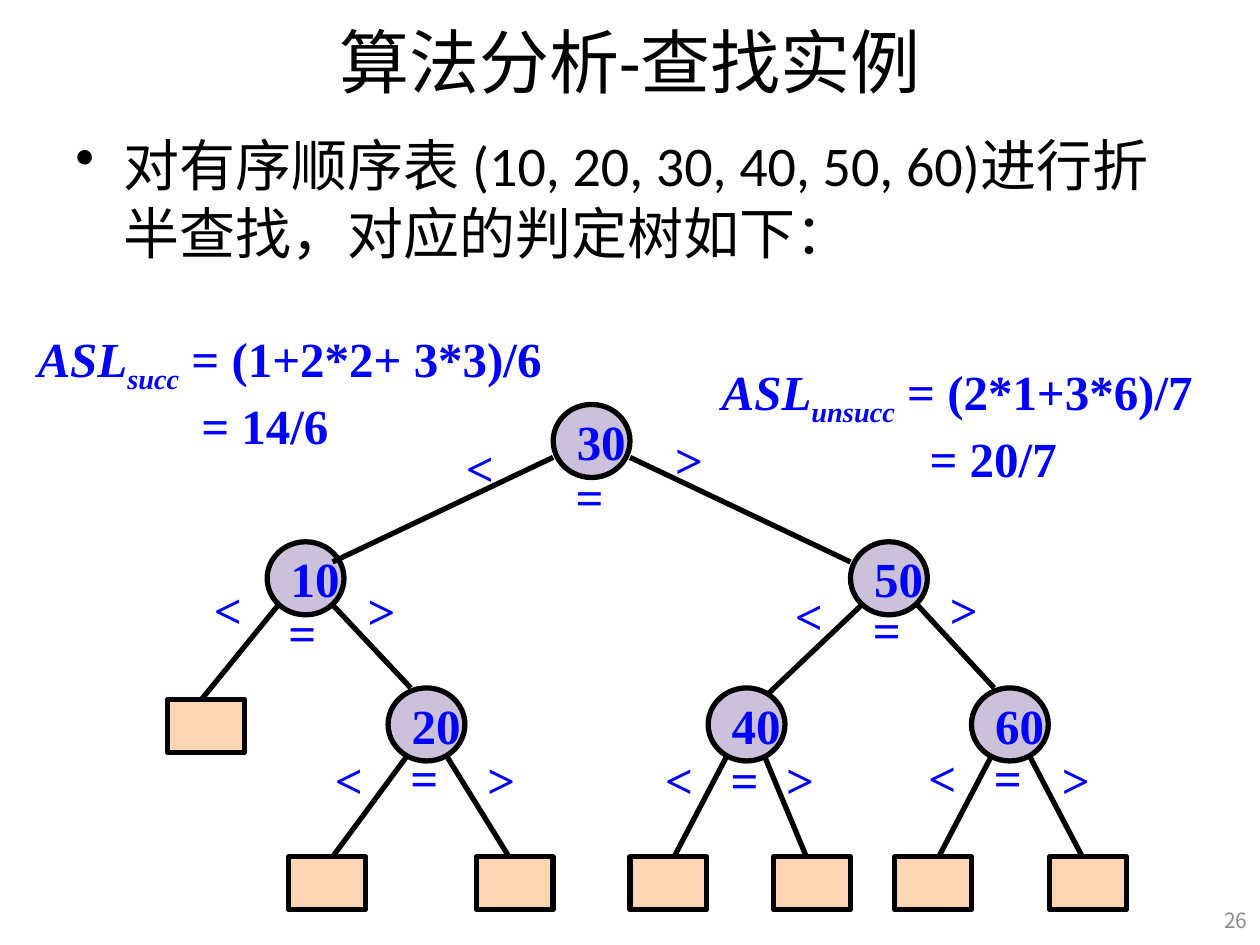
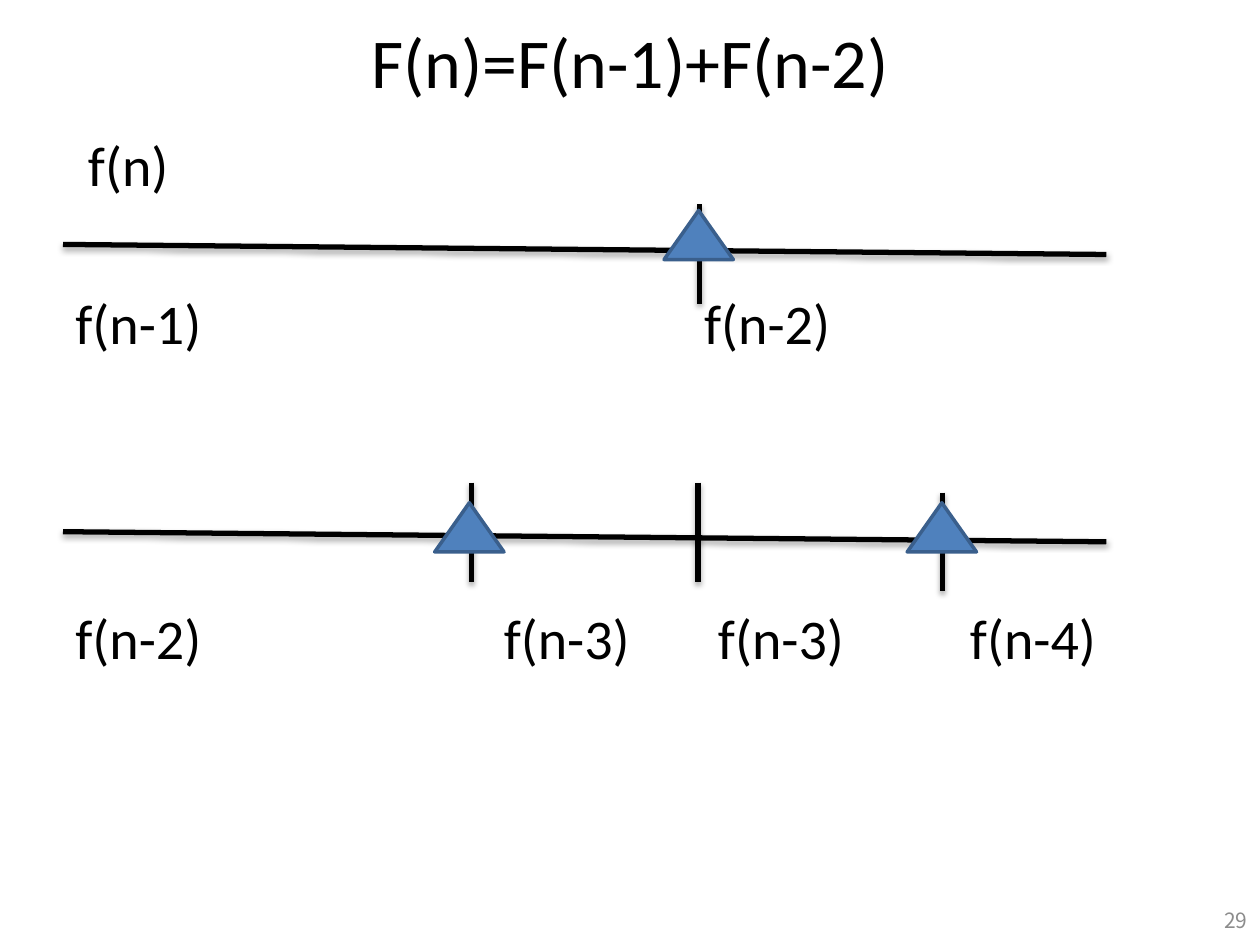
"""Build two algorithm slides: a binary search decision tree and a Fibonacci split."""
from lxml.etree import SubElement
from pptx import Presentation
from pptx.dml.color import RGBColor
from pptx.enum.shapes import MSO_CONNECTOR, MSO_SHAPE
from pptx.enum.text import MSO_ANCHOR, PP_ALIGN
from pptx.oxml.ns import qn
from pptx.util import Pt

EMU_PER_PX = 9144
BLACK, BLUE, GREY = "000000", "0000FF", "8C8C8C"
NODE_FILL, LEAF_FILL = "CCC1DA", "FCD5B5"
MARKER_FILL, MARKER_LINE = "4F81BD", "3A5F8C"
BODY_FONT, MATH_FONT, NUMBER_FONT = "Calibri", "Times New Roman", "Noto Sans CJK SC"

SEARCH_TITLE = "算法分析-查找实例"
SEARCH_TEXT = "对有序顺序表 (10, 20, 30, 40, 50, 60)进行折半查找，对应的判定树如下："
NODE_SIZE, LEAF_SIZE, SIGN_SIZE = (61, 58), (61, 42), (44, 57)
UPPER_NODES = {"30": (439, 321), "10": (212, 430), "50": (675, 430)}
LOWER_NODES = {"20": (308, 546), "40": (562, 546), "60": (771, 546)}
LEAVES = [(133, 555)] + [(left, 680) for left in (229, 378, 500, 614, 710, 833)]
BRANCHES = [
    (439, 363, 264, 446), (500, 363, 675, 446),
    (221, 480, 160, 555), (264, 480, 326, 546),
    (684, 480, 605, 555), (728, 480, 789, 546),
    (326, 596, 264, 680), (352, 596, 404, 680),
    (579, 596, 535, 680), (605, 596, 640, 680),
    (789, 596, 745, 680), (815, 596, 859, 680),
]
SIGNS = {
    "<": [(360, 342), (160, 455), (621, 460), (256, 590), (518, 590), (727, 588)],
    "=": [(447, 365), (219, 473), (683, 471), (316, 588), (570, 590), (779, 588)],
    ">": [(526, 336), (282, 456), (744, 455), (377, 590), (614, 590), (833, 590)],
}
AVERAGES = [
    ((20, 256, 446, 103), "succ", " = (1+2*2+ 3*3)/6", "= 14/6", 130),
    ((563, 282, 406, 103), "unsucc", " = (2*1+3*6)/7", "= 20/7", 165),
]

SPLIT_TITLE = "F(n)=F(n-1)+F(n-2)"
SPLIT_LABELS = [
    (99, [("f(n)", 60)]),
    (224, [("f(n-1)", 50), ("f(n-2)", 549)]),
    (474, [("f(n-2)", 50), ("f(n-3)", 390), ("f(n-3)", 560), ("f(n-4)", 760)]),
]
SPLIT_LINES = [
    (50, 194, 878, 202), (555, 162, 555, 241), (50, 422, 878, 430),
    (554, 383, 554, 462), (374, 383, 374, 462), (748, 391, 748, 469),
]
MARKERS = [(527, 167), (345, 399), (720, 399)]
MARKER_SIZE = (55, 39)


def px(*lengths):
    return [length * EMU_PER_PX for length in lengths]


def color(value):
    return RGBColor.from_string(value)


def set_font(font, size, name, fill, bold=False):
    font.size, font.name, font.bold = Pt(size), name, bold
    font.color.rgb = color(fill)


def add_text(slide, box, text, size=32, name=BODY_FONT, fill=BLACK, bold=False,
             align=PP_ALIGN.LEFT, anchor=MSO_ANCHOR.TOP):
    frame = slide.shapes.add_textbox(*px(*box)).text_frame
    frame.word_wrap, frame.vertical_anchor = True, anchor
    paragraph = frame.paragraphs[0]
    paragraph.text, paragraph.alignment = text, align
    set_font(paragraph.font, size, name, fill, bold)
    return frame


def add_figure(slide, kind, position, size, fill, line=BLACK, width=3):
    shape = slide.shapes.add_shape(kind, *px(*position, *size))
    shape.shadow.inherit = False
    shape.fill.solid()
    shape.fill.fore_color.rgb = color(fill)
    shape.line.color.rgb, shape.line.width = color(line), Pt(width)
    return shape


def add_line(slide, ends, shadow=False):
    line = slide.shapes.add_connector(MSO_CONNECTOR.STRAIGHT, *px(*ends))
    line.line.color.rgb, line.line.width = color(BLACK), Pt(3)
    effects = SubElement(line._element.spPr, qn("a:effectLst"))
    if shadow:
        outer = SubElement(effects, qn("a:outerShdw"), blurRad=str(Pt(3.1)),
                           dist=str(Pt(1.8)), dir="5400000", rotWithShape="0")
        black = SubElement(outer, qn("a:srgbClr"), val=BLACK)
        SubElement(black, qn("a:alpha"), val="35000")


def add_nodes(slide, nodes):
    for key, position in nodes.items():
        frame = add_figure(slide, MSO_SHAPE.OVAL, position, NODE_SIZE, NODE_FILL).text_frame
        frame.word_wrap, frame.vertical_anchor = False, MSO_ANCHOR.MIDDLE
        paragraph = frame.paragraphs[0]
        paragraph.text, paragraph.alignment = key, PP_ALIGN.LEFT
        set_font(paragraph.font, 28, MATH_FONT, BLUE, True)


def add_average(slide, box, subscript, formula, result, indent):
    frame = add_text(slide, box, "", 28, MATH_FONT, BLUE, True)
    first, second = frame.paragraphs[0], frame.add_paragraph()
    for text, italic in (("ASL", True), (subscript, True), (formula, False)):
        run = first.add_run()
        run.text, run.font.italic = text, italic
        if text == subscript:
            run._r.get_or_add_rPr().set("baseline", "-25000")
    second.text = result
    second._p.get_or_add_pPr().set("marL", str(indent * EMU_PER_PX))
    set_font(second.font, 28, MATH_FONT, BLUE, True)


def add_slide(presentation, title, number):
    slide = presentation.slides.add_slide(presentation.slide_layouts[6])
    add_text(slide, (50, -3, 900, 102), title, 40,
             align=PP_ALIGN.CENTER, anchor=MSO_ANCHOR.MIDDLE)
    add_text(slide, (957, 710, 43, 40), number, 12, NUMBER_FONT, GREY,
             align=PP_ALIGN.RIGHT, anchor=MSO_ANCHOR.MIDDLE)
    return slide


def build_search(presentation):
    slide = add_slide(presentation, SEARCH_TITLE, "26")
    paragraph = add_text(slide, (50, 99, 900, 638), SEARCH_TEXT).paragraphs[0]
    properties = paragraph._p.get_or_add_pPr()
    properties.set("marL", str(38 * EMU_PER_PX))
    properties.set("indent", str(-38 * EMU_PER_PX))
    bullet = properties.makeelement(qn("a:buChar"), {"char": "•"})
    properties.insert(0, bullet)
    for position in LEAVES:
        add_figure(slide, MSO_SHAPE.RECTANGLE, position, LEAF_SIZE, LEAF_FILL)
    add_nodes(slide, UPPER_NODES)
    for ends in BRANCHES:
        add_line(slide, ends)
    add_nodes(slide, LOWER_NODES)
    for sign, positions in SIGNS.items():
        for position in positions:
            add_text(slide, position + SIGN_SIZE, sign, 28, MATH_FONT, BLUE, True)
    for average in AVERAGES:
        add_average(slide, *average)


def build_split(presentation):
    slide = add_slide(presentation, SPLIT_TITLE, "29")
    for top, labels in SPLIT_LABELS:
        for text, left in labels:
            add_text(slide, (left, top, 150, 64), text)
    for ends in SPLIT_LINES:
        add_line(slide, ends, shadow=True)
    for position in MARKERS:
        add_figure(slide, MSO_SHAPE.ISOSCELES_TRIANGLE, position, MARKER_SIZE,
                   MARKER_FILL, MARKER_LINE, 2)


def main():
    presentation = Presentation()
    presentation.slide_width, presentation.slide_height = px(1000, 750)
    build_search(presentation)
    build_split(presentation)
    presentation.save("out.pptx")


if __name__ == "__main__":
    main()
